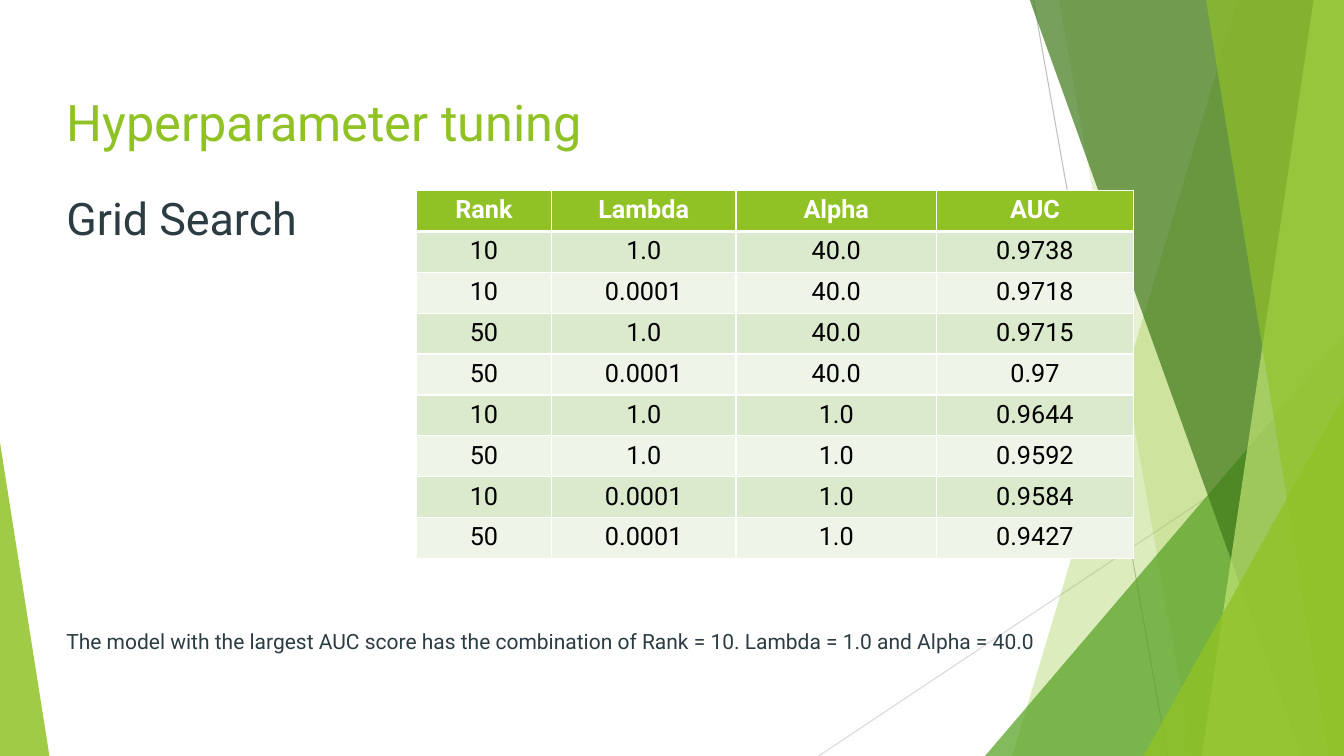
from lxml.etree import SubElement
from pptx import Presentation
from pptx.dml.color import RGBColor
from pptx.enum.shapes import MSO_CONNECTOR, MSO_SHAPE
from pptx.enum.text import MSO_ANCHOR, PP_ALIGN
from pptx.oxml.ns import qn
from pptx.util import Inches, Pt

COLORS = {
    "lime": "90C226", "green": "54A021", "forest": "3F7819", "pale": "C0E474",
    "slate": "2C3C43", "white": "FFFFFF", "black": "000000",
    "band dark": "DBE9CD", "band light": "EEF4E8",
    "line dark": "BFBFBF", "line light": "D9D9D9",
}
WIDTH, HEIGHT = 13.33, 7.5


def write(frame, text, color, align=PP_ALIGN.LEFT, before=0, **font_format):
    para = frame.paragraphs[0]
    para.alignment = align
    para.space_before = Pt(before)
    span = para.add_run()
    span.text = text
    span.font.name = "Roboto"
    span.font.color.rgb = RGBColor.from_string(COLORS[color])
    for name, value in font_format.items():
        setattr(span.font, name, value)


def paint(shape, color, opacity):
    shape.shadow.inherit = False
    shape.line.fill.background()
    shape.fill.solid()
    shape.fill.fore_color.rgb = RGBColor.from_string(COLORS[color])
    tint = shape.fill._xPr.find(qn("a:solidFill"))[0]
    SubElement(tint, qn("a:alpha"), val=str(opacity * 1000))


deck = Presentation()
deck.slide_width, deck.slide_height = Inches(WIDTH), Inches(HEIGHT)
page = deck.slides.add_slide(deck.slide_layouts[5])

# Thin lines behind the facets
for start_x, start_y, end_x, color in [
    (10.25, 0, 11.58, "line dark"),
    (WIDTH, 4.03, 8.12, "line light"),
]:
    line = page.shapes.add_connector(
        MSO_CONNECTOR.STRAIGHT,
        Inches(start_x), Inches(start_y), Inches(end_x), Inches(HEIGHT))
    line.line.color.rgb = RGBColor.from_string(COLORS[color])
    line.line.width = Pt(0.75)
    SubElement(line._element.spPr, qn("a:effectLst"))

# Green facets, back to front: bands (top x, bottom x) reach the right edge,
# triangles (left, top, width, apex) stand on the bottom edge
facets = [
    ("band", (12.28, 10.04), "lime", 30),
    ("band", (10.5, 11.83), "lime", 20),
    ("triangle", (9.77, 3.33, 3.56, 1), "green", 72),
    ("band", (10.21, 12.91), "forest", 70),
    ("band", (13.03, 11.92), "pale", 70),
    ("band", (11.96, 13.18), "lime", 65),
    ("triangle", (11.34, 3.93, 1.99, 1), "lime", 80),
    ("triangle", (0, 4.39, 0.49, 0), "lime", 85),
]
for kind, place, color, opacity in facets:
    if kind == "band":
        top_x, bottom_x = place
        outline = page.shapes.build_freeform(
            Inches(top_x), Inches(-0.01), scale=1.0)
        outline.add_line_segments([
            (Inches(x), Inches(y)) for x, y in
            [(WIDTH, -0.01), (WIDTH, HEIGHT), (bottom_x, HEIGHT)]])
        facet = outline.convert_to_shape()
    else:
        left, top, width, apex = place
        facet = page.shapes.add_shape(
            MSO_SHAPE.ISOSCELES_TRIANGLE, Inches(left), Inches(top),
            Inches(width), Inches(HEIGHT - top))
        facet.adjustments[0] = apex
    paint(facet, color, opacity)

# Title
title = page.shapes.title
for name, value in {"left": 0.56, "top": 0.93, "width": 12.06, "height": 0.62}.items():
    setattr(title, name, Inches(value))
title.text_frame.vertical_anchor = MSO_ANCHOR.BOTTOM
write(title.text_frame, "Hyperparameter tuning", "lime", size=Pt(36))

# Subtitle and conclusion
conclusion = ("The model with the largest AUC score has the combination of "
              "Rank = 10. Lambda = 1.0 and Alpha = 40.0")
for text, top, width, height, size, before in [
    (conclusion, 6.19, 10.69, 0.43, 15, 1),
    ("Grid Search", 1.84, 2.51, 0.68, 32, 2),
]:
    box = page.shapes.add_textbox(
        Inches(0.56), Inches(top), Inches(width), Inches(height))
    box.text_frame.word_wrap = True
    write(box.text_frame, text, "slate", before=before, size=Pt(size))

# Grid search results
results = [
    ("Rank", "Lambda", "Alpha", "AUC"),
    ("10", "1.0", "40.0", "0.9738"),
    ("10", "0.0001", "40.0", "0.9718"),
    ("50", "1.0", "40.0", "0.9715"),
    ("50", "0.0001", "40.0", "0.97"),
    ("10", "1.0", "1.0", "0.9644"),
    ("50", "1.0", "1.0", "0.9592"),
    ("10", "0.0001", "1.0", "0.9584"),
    ("50", "0.0001", "1.0", "0.9427"),
]
column_widths = [1.34, 1.83, 1.99, 1.95]
table = page.shapes.add_table(
    len(results), len(column_widths), Inches(4.13), Inches(1.89),
    Inches(sum(column_widths)), Inches(3.65)).table
for column, width in zip(table.columns, column_widths):
    column.width = Inches(width)
for row_index, values in enumerate(results):
    header = row_index == 0
    band = "lime" if header else "band dark" if row_index % 2 else "band light"
    for column_index, value in enumerate(values):
        cell = table.cell(row_index, column_index)
        write(cell.text_frame, value, "white" if header else "black",
              PP_ALIGN.CENTER, size=Pt(18), bold=header)
        # White borders, thicker between header and body
        thick = {0: "lnB", 1: "lnT"}.get(row_index)
        for side in ("lnL", "lnR", "lnT", "lnB"):
            border = SubElement(cell._tc.get_or_add_tcPr(), qn("a:" + side),
                                w=str(Pt(3 if side == thick else 1)))
            border_fill = SubElement(border, qn("a:solidFill"))
            SubElement(border_fill, qn("a:srgbClr"), val=COLORS["white"])
        cell.fill.solid()
        cell.fill.fore_color.rgb = RGBColor.from_string(COLORS[band])

deck.save("out.pptx")
